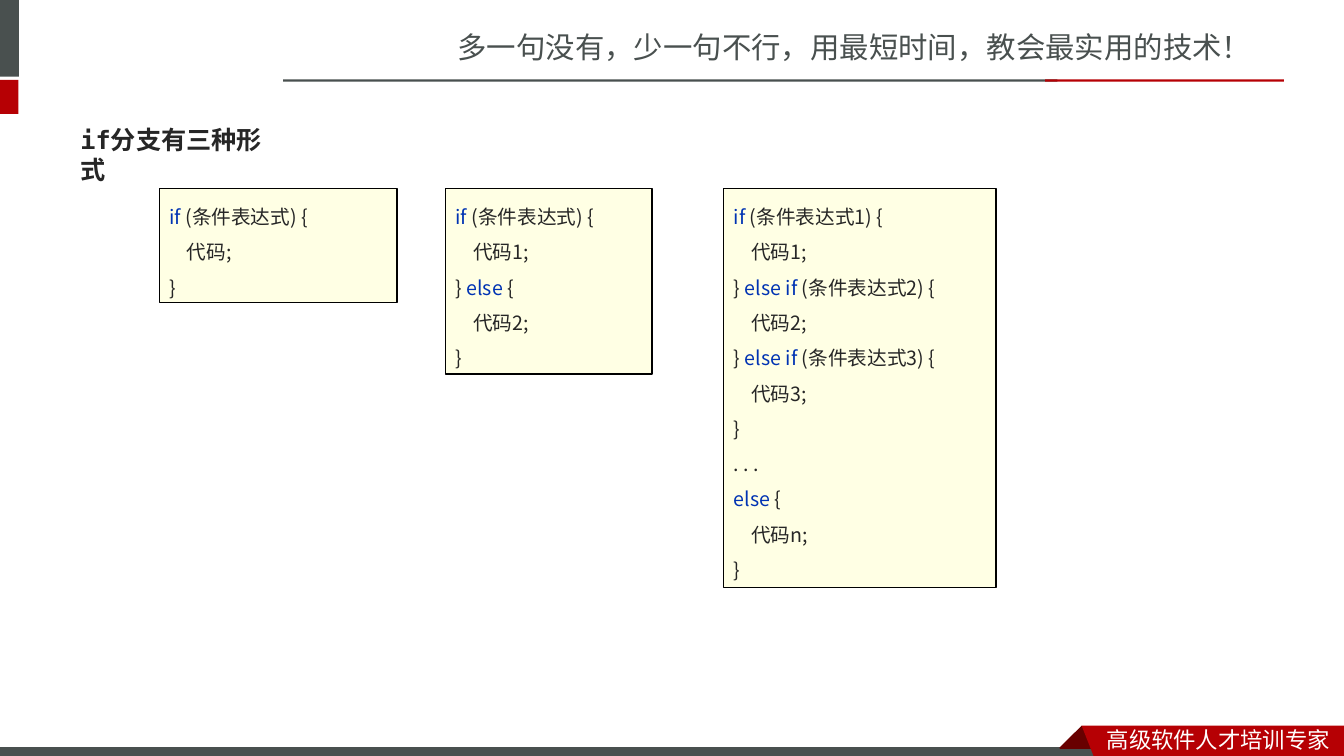
"""Build a slide showing the three forms of the if branch."""
import pptx
import pptx.dml.color
import pptx.enum.shapes
import pptx.enum.text
import pptx.oxml.ns
import pptx.util
from lxml import etree

Pt = pptx.util.Pt
GREY, RED, DARK_RED, WHITE = "49504F", "B60004", "680000", "FFFFFF"
INK, KEYWORD, CREAM, BLACK = "262626", "0033B3", "FFFFE4", "000000"
SANS = "Noto Sans CJK SC"
CODE_FONT = "Noto Sans CJK JP"


def paint(color_format, hex_color):
    if hasattr(color_format, "solid"):
        color_format.solid()
        color_format = color_format.fore_color
    color_format.rgb = pptx.dml.color.RGBColor.from_string(hex_color)


def style(paragraph, size, latin, east_asian):
    paragraph.alignment = pptx.enum.text.PP_ALIGN.LEFT
    paragraph.font.size = Pt(size)
    paragraph.font.name = latin
    properties = paragraph._p.get_or_add_pPr().find(pptx.oxml.ns.qn("a:defRPr"))
    etree.SubElement(properties, pptx.oxml.ns.qn("a:ea"), typeface=east_asian)


deck = pptx.Presentation()
deck.slide_width, deck.slide_height = Pt(960), Pt(540)
slide = deck.slides.add_slide(deck.slide_layouts[6])
shapes = slide.shapes
RECTANGLE = pptx.enum.shapes.MSO_SHAPE.RECTANGLE

bars = [
    (0, 0, 13.5, 54.8, GREY),
    (0, 57, 13.2, 24.4, RED),
    (202.3, 56.7, 553, 1.6, GREY),
    (746.6, 56.7, 170.6, 1.6, RED),
]
for left, top, width, height, color in bars:
    bar = shapes.add_shape(RECTANGLE, Pt(left), Pt(top), Pt(width), Pt(height))
    bar.shadow.inherit = False
    paint(bar.fill, color)
    bar.line.fill.background()

footer_bar = shapes.add_shape(RECTANGLE, Pt(-0.7), Pt(533.5), Pt(792), Pt(8.6))
footer_bar.shadow.inherit = False
paint(footer_bar.fill, GREY)
paint(footer_bar.line.color, WHITE)
footer_bar.line.width = Pt(0.75)

ribbon_parts = [
    (DARK_RED, [(772.6, 518.4), (788.4, 534.2), (787.7, 535), (757.4, 535), (756.7, 534.2)]),
    (RED, [(772.6, 518.4), (960, 518.4), (960, 542.6), (782, 542.2)]),
]
for color, corners in ribbon_parts:
    outline = shapes.build_freeform(Pt(corners[0][0]), Pt(corners[0][1]))
    outline.add_line_segments([(Pt(x), Pt(y)) for x, y in corners[1:]])
    ribbon = outline.convert_to_shape()
    ribbon.shadow.inherit = False
    paint(ribbon.fill, color)
    ribbon.line.fill.background()

captions = [
    ("多一句没有，少一句不行，用最短时间，教会最实用的技术！", 319.7, 17.3, 574.6, 32.4, 21, SANS, GREY, False),
    ("高级软件人才培训专家", 783.4, 514.8, 176.4, 26.6, 16, SANS, WHITE, False),
    ("if分支有三种形式", 50.4, 85, 159.8, 28.8, 18, "DejaVu Sans Mono", INK, True),
]
for text, left, top, width, height, size, latin, color, bold in captions:
    caption = shapes.add_textbox(Pt(left), Pt(top), Pt(width), Pt(height)).text_frame
    caption.word_wrap = True
    paragraph = caption.paragraphs[0]
    paragraph.text = text
    paragraph.font.bold = bold
    paint(paragraph.font.fill, color)
    style(paragraph, size, latin, SANS)

branch_forms = [
    (113.8, 169.9, 81.4, ["|if| (条件表达式) {", "\t代码;", "}"]),
    (318.2, 147.6, 132.5, ["|if| (条件表达式) {", "\t代码1;", "} |else| {", "\t代码2;", "}"]),
    (517, 194.4, 285.1, [
        "|if| (条件表达式1) {", "\t代码1;",
        "} |else if |(条件表达式2) {", "\t代码2;",
        "} |else if |(条件表达式3) {", "\t代码3;",
        "}", ". . .", "|else |{", "\t代码n;", "}",
    ]),
]
for left, width, height, lines in branch_forms:
    box = shapes.add_shape(RECTANGLE, Pt(left), Pt(134.6), Pt(width), Pt(height))
    box.shadow.inherit = False
    paint(box.fill, CREAM)
    paint(box.line.color, BLACK)
    box.line.width = Pt(1)
    code = box.text_frame
    code.word_wrap = True
    code.vertical_anchor = pptx.enum.text.MSO_ANCHOR.TOP
    for number, line in enumerate(lines):
        paragraph = code.add_paragraph() if number else code.paragraphs[0]
        paragraph.line_spacing = 1.5
        style(paragraph, 14, CODE_FONT, CODE_FONT)
        if line.startswith("\t"):
            paragraph._p.get_or_add_pPr().set("marL", str(Pt(12.6)))
        for position, piece in enumerate(line.strip().split("|")):
            if piece:
                run = paragraph.add_run()
                run.text = piece
                paint(run.font.fill, KEYWORD if position % 2 else INK)

deck.save("out.pptx")
